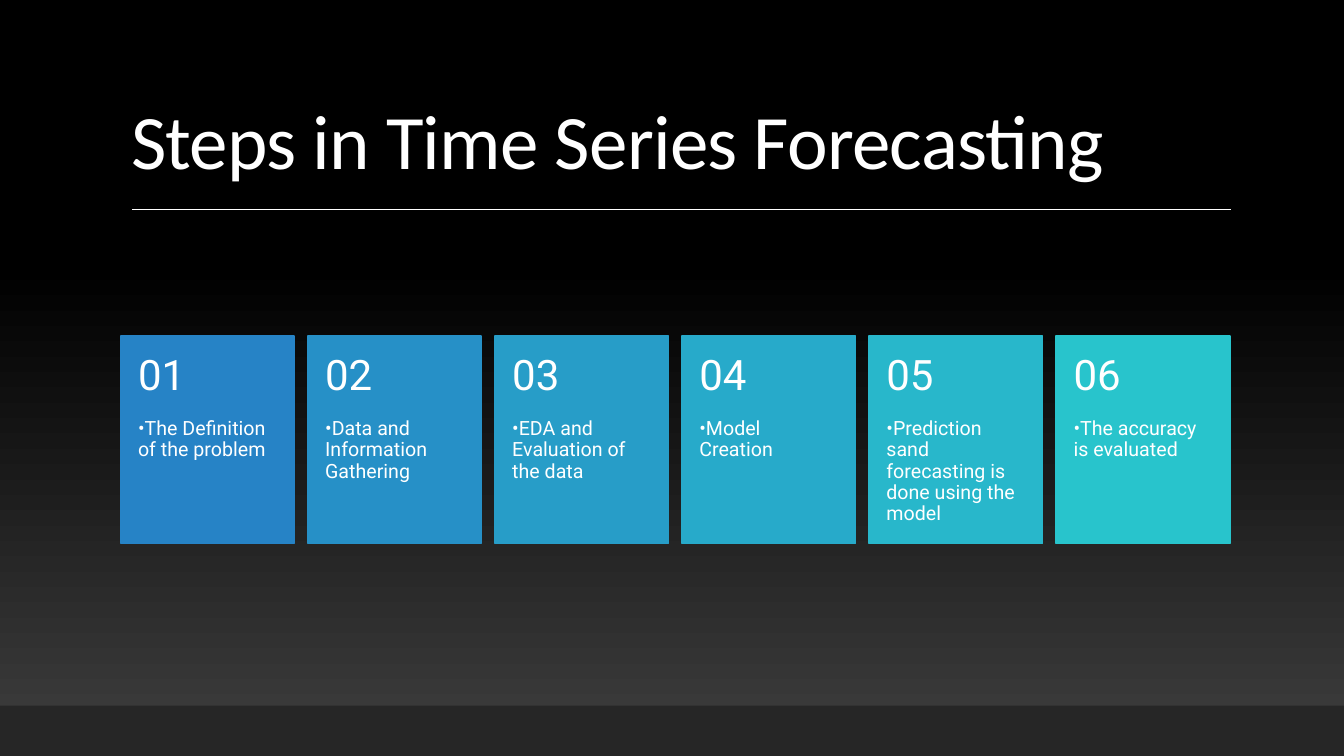
from pptx import Presentation
from pptx.dml.color import RGBColor
from pptx.enum.shapes import MSO_CONNECTOR as Connector, MSO_SHAPE as Shape
from pptx.enum.text import MSO_ANCHOR as Anchor, MSO_AUTO_SIZE as AutoSize, PP_ALIGN as Align
from pptx.oxml.xmlchemy import OxmlElement
from pptx.util import Inches, Pt

WHITE = RGBColor(0xFF, 0xFF, 0xFF)
BLACK = RGBColor(0x00, 0x00, 0x00)
GRAPHITE = RGBColor(0x3F, 0x3F, 0x3F)
FOOTER_GREY = RGBColor(0x26, 0x26, 0x26)
FIRST_BLUE = RGBColor(0x26, 0x83, 0xC6)
LAST_TEAL = RGBColor(0x28, 0xC4, 0xCC)

STEPS = [
    "The Definition of the problem",
    "Data and Information Gathering",
    "EDA and Evaluation of the data",
    "Model Creation",
    "Prediction sand forecasting is done using the model",
    "The accuracy is evaluated",
]
LEFT, WIDTH, GAP = 9, 82.5, 1.02
CARD_TOP, NUMBER_HEIGHT, STEP_HEIGHT = 44.4, 11, 16.5


def blend(start, end, share):
    """Return the colour lying at a share of the way from start to end."""
    return RGBColor(*(round(a + (b - a) * share) for a, b in zip(start, end)))


class SlideBuilder:
    """Draws styled elements, with lengths in percent of the slide's size."""

    title_font, body_font = "Calibri", "Roboto"

    def __init__(self, presentation):
        """Add a title-only slide to the presentation."""
        self.size = presentation.slide_width, presentation.slide_height
        self.slide = presentation.slides.add_slide(presentation.slide_layouts[5])
        self.shapes = self.slide.shapes

    def scale(self, *percents):
        """Turn alternating horizontal and vertical percents into lengths."""
        return [round(self.size[i % 2] * percent / 100) for i, percent in enumerate(percents)]

    def start_group(self):
        """Send the elements that follow into a new group."""
        self.shapes = self.slide.shapes.add_group_shape().shapes

    def gradient(self, fill):
        """Fade from graphite at the bottom to black."""
        fill.gradient()
        fill.gradient_angle = 90
        for stop, color, position in zip(fill.gradient_stops, (GRAPHITE, BLACK), (0, 0.65)):
            stop.color.rgb = color
            stop.position = position

    def rectangle(self, box, color=None, outlined=False):
        """Add a rectangle, with the gradient when no colour is given."""
        shape = self.shapes.add_shape(Shape.RECTANGLE, *self.scale(*box))
        shape.shadow.inherit = False
        if color is None:
            self.gradient(shape.fill)
        else:
            shape.fill.solid()
            shape.fill.fore_color.rgb = color
        if outlined:
            shape.line.color.rgb = color
            shape.line.width = Pt(1.25)
        else:
            shape.line.fill.background()

    def rule(self, left, right, top):
        """Add a thin horizontal white line."""
        line = self.shapes.add_connector(Connector.STRAIGHT, *self.scale(left, top, right, top))
        line.line.color.rgb = WHITE
        line.line.width = Pt(1)
        line._element.spPr.append(OxmlElement("a:effectLst"))

    def set_text(self, text_frame, text, font, size, anchor):
        """Put one left-aligned white paragraph into a text frame."""
        text_frame.text = text
        text_frame.word_wrap = True
        text_frame.auto_size = AutoSize.NONE
        text_frame.vertical_anchor = anchor
        paragraph = text_frame.paragraphs[0]
        paragraph.alignment = Align.LEFT
        paragraph.line_spacing = 0.9
        run = paragraph.runs[0]
        run.font.name = font
        run.font.size = Pt(size)
        run.font.color.rgb = WHITE
        return run

    def title(self, box, text):
        """Place the title placeholder in front of what is drawn so far."""
        title = self.slide.shapes.title
        title.left, title.top, title.width, title.height = self.scale(*box)
        run = self.set_text(title.text_frame, text, self.title_font, 55, Anchor.BOTTOM)
        run._r.get_or_add_rPr().set("spc", "-50")
        self.slide.shapes._spTree.append(title._element)

    def label(self, box, text, size, anchor, inset_top, inset_bottom):
        """Add a text box with the side insets of a card."""
        text_frame = self.shapes.add_textbox(*self.scale(*box)).text_frame
        text_frame.margin_left = text_frame.margin_right = Inches(0.17)
        text_frame.margin_top = Inches(inset_top)
        text_frame.margin_bottom = Inches(inset_bottom)
        self.set_text(text_frame, text, self.body_font, size, anchor)

    def card(self, left, width, color, number, step):
        """Add a coloured card with its number above its step."""
        self.rectangle((left, CARD_TOP, width, NUMBER_HEIGHT + STEP_HEIGHT), color, outlined=True)
        step_box = left, CARD_TOP + NUMBER_HEIGHT, width, STEP_HEIGHT
        self.label(step_box, f"•{step}", 14, Anchor.TOP, 0, 0.36)
        number_box = left, CARD_TOP, width, NUMBER_HEIGHT
        self.label(number_box, f"{number:02}", 30, Anchor.MIDDLE, 0.18, 0.18)


def main():
    """Build the slide and save it."""
    presentation = Presentation()
    presentation.slide_width, presentation.slide_height = Inches(13.33), Inches(7.5)
    builder = SlideBuilder(presentation)
    builder.gradient(builder.slide.background.fill)
    builder.rectangle((0, 0, 100, 100))
    builder.title((LEFT, 4.13, WIDTH, 21.2), "Steps in Time Series Forecasting")
    builder.rule(9.83, 91.57, 27.73)
    builder.rectangle((0, 93.33, 100, 6.67), FOOTER_GREY)
    builder.start_group()
    pitch = (WIDTH + GAP) / len(STEPS)
    for index, step in enumerate(STEPS):
        color = blend(FIRST_BLUE, LAST_TEAL, index / (len(STEPS) - 1))
        builder.card(LEFT + index * pitch, pitch - GAP, color, index + 1, step)
    presentation.save("out.pptx")


if __name__ == "__main__":
    main()
